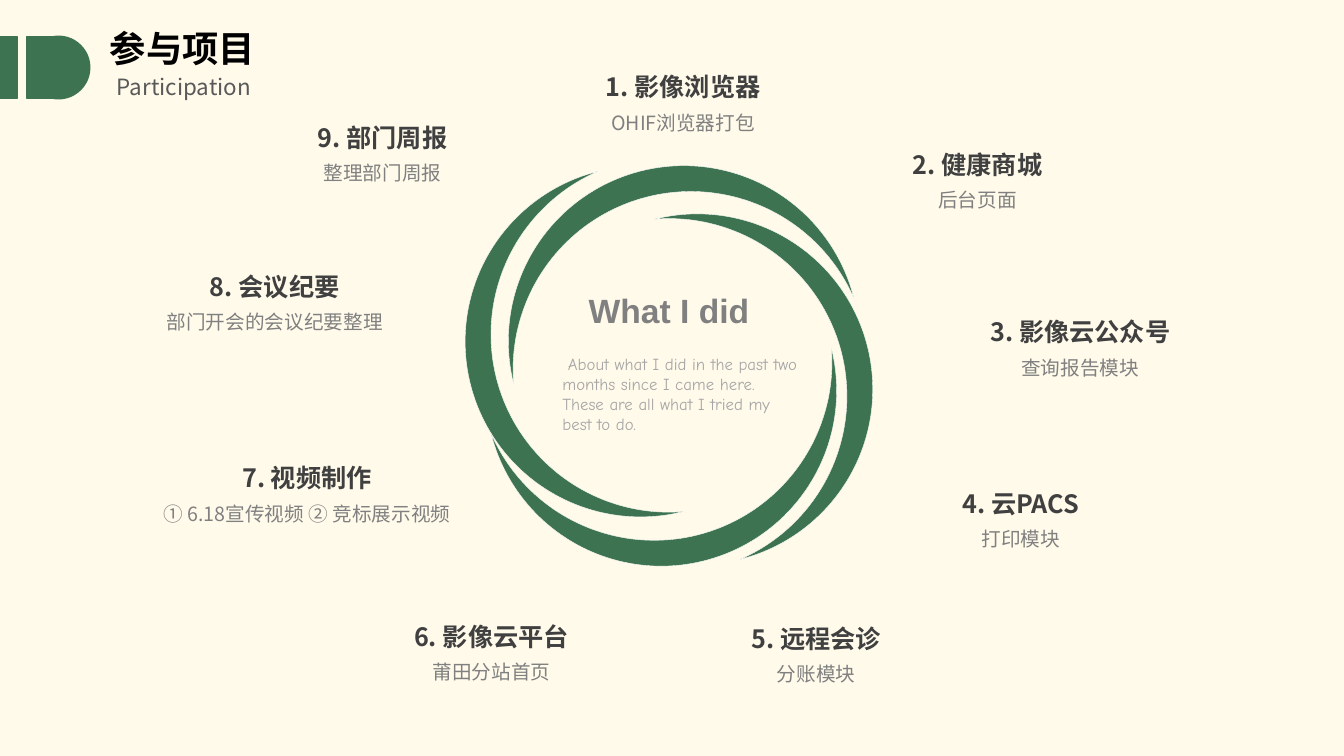
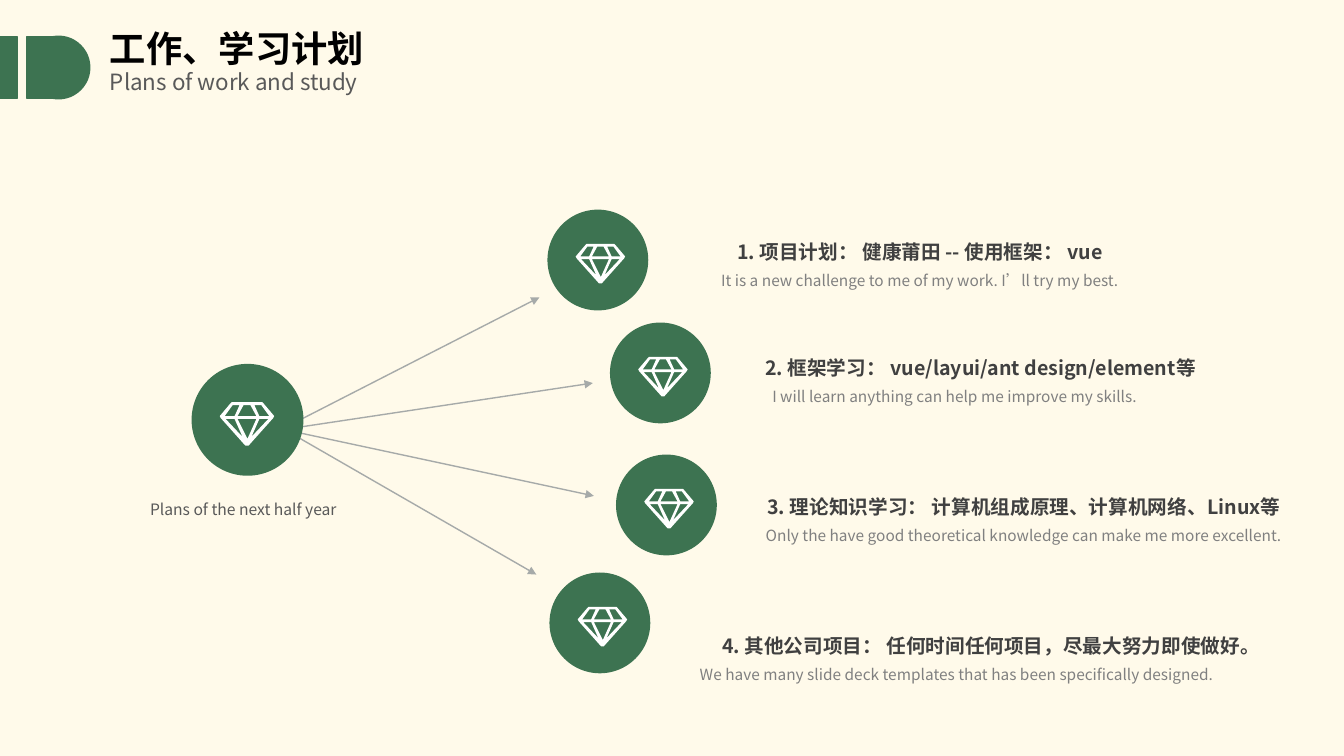
import pptx
import pptx.dml.color
import pptx.enum.shapes
import pptx.enum.text
import pptx.oxml.ns
import pptx.oxml.xmlchemy
import pptx.util

SHAPE = pptx.enum.shapes.MSO_SHAPE
ALIGN = pptx.enum.text.PP_ALIGN
ANCHOR = pptx.enum.text.MSO_ANCHOR

SCALE = 9144  # EMU in one px, 100 px to the inch
COLORS = {
    "paper": "FFFAEA", "green": "3D7351", "white": "FFFFFF", "title": "000000",
    "subtitle": "595959", "heading": "404040", "detail": "808080",
    "faint": "A6A6A6", "arrow": "A6AAA9",
}
SANS = "Noto Sans CJK SC"

MOON_SIZE = (174, 348)
MOONS = [(570, 80, 75.9), (464, 186, 345.9), (689, 191, 165.9), (590, 298, 255.9)]
PROJECTS = [
    (524, 65, "1. 影像浏览器", "OHIF浏览器打包"),
    (816, 142, "2. 健康商城", "后台页面"),
    (918, 308, "3. 影像云公众号", "查询报告模块"),
    (859, 478, "4. 云PACS", "打印模块"),
    (656, 612, "5. 远程会诊", "分账模块"),
    (334, 610, "6. 影像云平台", "莆田分站首页"),
    (151, 453, "7. 视频制作", "① 6.18宣传视频 ② 竞标展示视频"),
    (119, 263, "8. 会议纪要", "部门开会的会议纪要整理"),
    (226, 115, "9. 部门周报", "整理部门周报"),
]

PLAN_DISCS = [(543, 208), (605, 320), (611, 451), (545, 568)]
PLAN_ARROWS = [(281, 425, 535, 295), (282, 426, 588, 380),
               (281, 426, 589, 492), (282, 426, 532, 570)]
PLANS = [
    (656, 233, 513, "1. 项目计划： 健康莆田 -- 使用框架： vue",
     "It is a new challenge to me of my work. I’ll try my best.", {}),
    (716, 348, 513, "2. 框架学习： vue/layui/ant design/element等",
     "I will learn anything can help me improve my skills.",
     {"align": ALIGN.LEFT, "indent": 50}),
    (759, 486, 513, "3. 理论知识学习： 计算机组成原理、计算机网络、Linux等",
     "Only the have good theoretical knowledge can make me more excellent.", {}),
    (694, 624, 578, "4. 其他公司项目： 任何时间任何项目，尽最大努力即使做好。",
     "We have many slide deck templates that has been specifically designed.",
     {"align": ALIGN.LEFT}),
]

GEM_WIDTH = 55
GEM_OUTLINE_HALF = [(12, 0), (11, 1), (0, 14), (1, 16), (26, 44)]
GEM_SIDE_FACETS = [
    [(6, 17), (15, 17), (23, 35)],
    [(13, 3), (20, 3), (15, 14), (5, 14)],
]
GEM_MIDDLE_FACETS = [
    [(28, 37), (18, 17), (37, 17)],
    [(31, 3), (37, 14), (18, 14), (24, 3)],
]


def px(*lengths):
    return [pptx.util.Emu(round(length * SCALE)) for length in lengths]


def rgb(name):
    return pptx.dml.color.RGBColor.from_string(COLORS[name])


def add_element(parent, tag, **attributes):
    element = pptx.oxml.xmlchemy.OxmlElement(tag)
    for name, value in attributes.items():
        element.set(name, value)
    parent.append(element)


def write(frame, text, *, size, color, font=SANS, bold=False, align=ALIGN.LEFT,
          spacing=1.0, before=0, indent=0):
    """Add one paragraph; the first one in a frame gets no space before."""
    first = not frame.text
    para = frame.paragraphs[0] if first else frame.add_paragraph()
    properties = para._p.get_or_add_pPr()
    properties.set("marL", str(px(indent)[0]))
    properties.set("indent", "0")
    add_element(properties, "a:buNone")
    para.alignment = align
    para.line_spacing = spacing
    para.space_before = pptx.util.Pt(0 if first else before)
    span = para.add_run()
    span.text = text
    span.font.size = pptx.util.Pt(size)
    span.font.bold = bold
    span.font.color.rgb = rgb(color)
    span.font.name = font
    add_element(span._r.get_or_add_rPr(), "a:ea", typeface=font)


def add_text_box(page, x, y, width, height, inset=True):
    frame = page.shapes.add_textbox(*px(x, y, width, height)).text_frame
    frame.word_wrap = True
    if not inset:
        frame.margin_left = frame.margin_top = 0
        frame.margin_right = frame.margin_bottom = 0
    return frame


def paint(shape, fill, line=None, line_width=1):
    shape.shadow.inherit = False
    shape.fill.solid()
    shape.fill.fore_color.rgb = rgb(fill)
    if line:
        shape.line.color.rgb = rgb(line)
        shape.line.width = pptx.util.Pt(line_width)
    else:
        shape.line.fill.background()


def place_heading(holder, text, x, y, height, **style):
    holder.left, holder.top, holder.width, holder.height = px(x, y, 862, height)
    frame = holder.text_frame
    frame.word_wrap = True
    frame.auto_size = pptx.enum.text.MSO_AUTO_SIZE.NONE
    frame.vertical_anchor = ANCHOR.MIDDLE
    write(frame, text, spacing=0.8, **style)


def add_page(deck, title, subtitle, subtitle_x, subtitle_y):
    """Add a slide with the green tab, the title and the subtitle."""
    page = deck.slides.add_slide(deck.slide_layouts[1])
    for kind, x, width in ((SHAPE.RECTANGLE, 0, 17), (SHAPE.RECTANGLE, 27, 27),
                           (SHAPE.OVAL, 27, 62)):
        paint(page.shapes.add_shape(kind, *px(x, 36, width, 62)), "green", "green")
    place_heading(page.shapes.title, title, 99, 28, 47,
                  size=25.9, color="title", bold=True)
    place_heading(page.placeholders[1], subtitle, subtitle_x, subtitle_y, 33,
                  size=16, color="subtitle")
    return page


def add_entry(page, x, y, width, heading, detail, sizes, **detail_style):
    """Place a bold heading with a grey line of detail under it."""
    frame = add_text_box(page, x, y, width, 60, inset=False)
    shared = {"align": ALIGN.CENTER, "spacing": 1.2, "before": 3}
    write(frame, heading, size=sizes[0], color="heading", bold=True, **shared)
    write(frame, detail, size=sizes[1], color="detail", **{**shared, **detail_style})


def add_moon_ring(page):
    for x, y, rotation in MOONS:
        moon = page.shapes.add_shape(SHAPE.MOON, *px(x, y, *MOON_SIZE))
        moon.adjustments[0] = 0.152
        moon.rotation = rotation
        paint(moon, "green", "white", 0.25)


def add_ring_caption(page, x, y):
    write(add_text_box(page, x, y, 231, 50), "What I did", size=24,
          color="detail", font="Arial", bold=True, align=ALIGN.CENTER)
    frame = add_text_box(page, x, y + 63, 253, 91)
    for text in (" About what I did in the past two months since I came here.",
                 "These are all what I tried my best to do."):
        write(frame, text, size=12, color="faint", font="Comic Neue")


def mirrored(points):
    return [(GEM_WIDTH - x, y) for x, y in reversed(points)]


def add_gem(page, x, y, width):
    contours = [GEM_OUTLINE_HALF + mirrored(GEM_OUTLINE_HALF), *GEM_MIDDLE_FACETS]
    for facet in GEM_SIDE_FACETS:
        contours += [facet, mirrored(facet)]
    builder = page.shapes.build_freeform(*contours[0][0], scale=SCALE * width / GEM_WIDTH)
    for number, contour in enumerate(contours):
        if number:
            builder.move_to(*contour[0])
        builder.add_line_segments(contour[1:], close=True)
    paint(builder.convert_to_shape(*px(x, y)), "white")


def add_gem_disc(page, x, y, size):
    paint(page.shapes.add_shape(SHAPE.OVAL, *px(x, y, size, size)), "green")
    add_gem(page, x + 28, y + round(0.34 * size), round(0.49 * size))


def add_arrow(page, *ends):
    arrow = page.shapes.add_connector(
        pptx.enum.shapes.MSO_CONNECTOR.STRAIGHT, *px(*ends))
    arrow.line.color.rgb = rgb("arrow")
    arrow.line.width = pptx.util.Pt(1)
    properties = arrow._element.find(pptx.oxml.ns.qn("p:spPr"))
    add_element(properties.find(pptx.oxml.ns.qn("a:ln")), "a:tailEnd", type="triangle")
    add_element(properties, "a:effectLst")


def build_projects(deck):
    page = add_page(deck, "参与项目", "Participation", 106, 72)
    add_moon_ring(page)
    add_ring_caption(page, 548, 283)
    for x, y, heading, detail in PROJECTS:
        add_entry(page, x, y, 307, heading, detail, (18, 14))


def build_plans(deck):
    page = add_page(deck, "工作、学习计划", "Plans of work and study", 99, 67)
    for ends in PLAN_ARROWS:
        add_arrow(page, *ends)
    add_gem_disc(page, 190, 361, 111)
    for x, y in PLAN_DISCS:
        add_gem_disc(page, x, y, 100)
    for x, y, width, heading, detail, style in PLANS:
        add_entry(page, x, y, width, heading, detail, (14, 11), **style)
    write(add_text_box(page, 139, 496, 212, 33), "Plans of the next half year",
          size=11.2, color="subtitle", spacing=0.7)


def main():
    deck = pptx.Presentation()
    deck.slide_width, deck.slide_height = px(1333, 750)
    paper = deck.slide_master.background.fill
    paper.solid()
    paper.fore_color.rgb = rgb("paper")
    build_projects(deck)
    build_plans(deck)
    deck.save("out.pptx")


if __name__ == "__main__":
    main()
